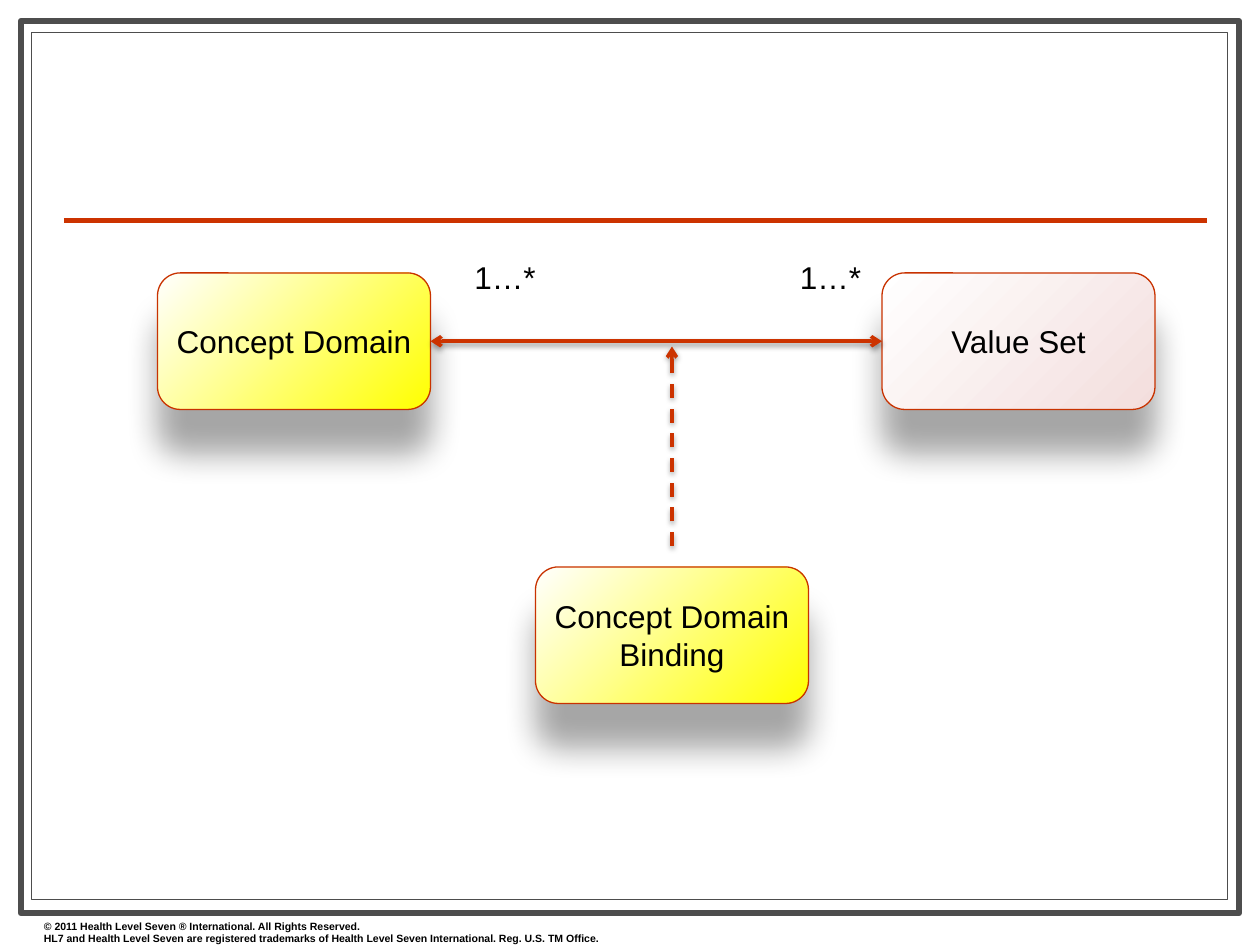
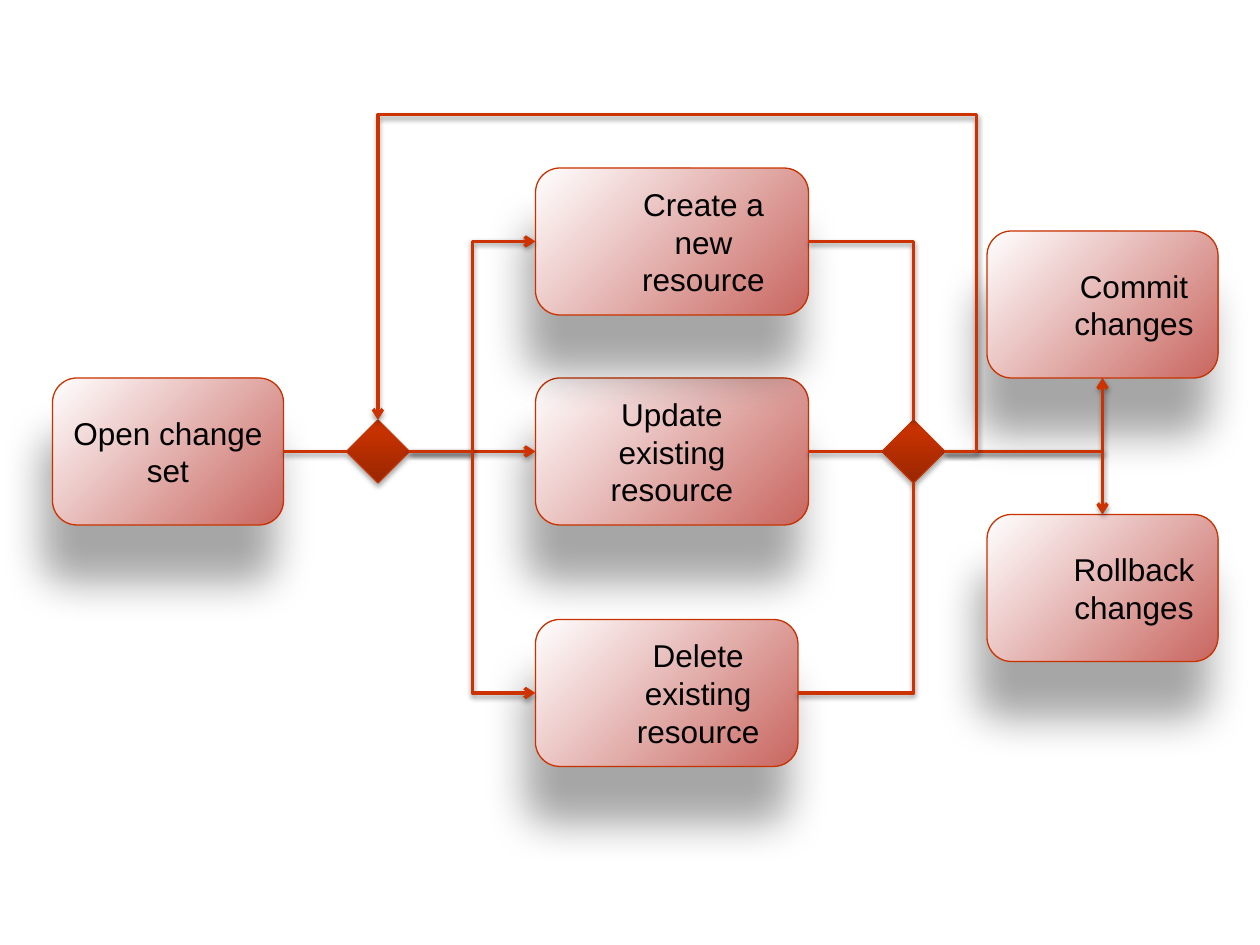
from pptx import Presentation
from pptx.dml.color import RGBColor
from pptx.enum.dml import MSO_LINE
from pptx.enum.shapes import MSO_CONNECTOR, MSO_SHAPE
from pptx.enum.text import MSO_ANCHOR, PP_ALIGN
from pptx.oxml import parse_xml
from pptx.oxml.ns import nsdecls, qn
from pptx.util import Pt

COLORS = {
    "paper": "FFFFFF",
    "frame": "4D4D4D",
    "accent": "CC3300",
    "outline": "C83200",
    "text": "000000",
    "shadow": "000000",
    "yellow": "FFFF00",
    "pink": "F3DEDD",
    "red": "C96660",
    "diamond_dark": "982600",
    "diamond_mid": "C63100",
    "diamond_light": "C73200",
}
FONT = "Arial"
TOP, LEFT, BOTTOM, RIGHT = range(4)

# Opacity %, blur pt, distance pt, direction in degrees
DEEP_SHADOW = (35, 18.5, 25, 90)
DEEPER_SHADOW = (35, 24, 33, 100)
DIAMOND_SHADOW = (35, 3.1, 1.8, 90)
LINE_SHADOW = (38, 3.1, 1.6, 90)

CORNER_GLOW = '<a:path path="circle"><a:fillToRect l="100000" t="100000"/></a:path>'
UPWARD = '<a:lin ang="16200000" scaled="0"/>'

COPYRIGHT = (
    "© 2011 Health Level Seven ® International. All Rights Reserved.",
    "HL7 and Health Level Seven are registered trademarks of Health Level Seven "
    "International. Reg. U.S. TM Office.",
)


def rgb(name):
    return RGBColor.from_string(COLORS[name])


def add_effects(properties, shadow):
    opacity, blur, distance, direction = shadow
    for effects in properties.findall(qn("a:effectLst")):
        properties.remove(effects)
    properties.append(parse_xml(
        f'<a:effectLst {nsdecls("a")}><a:outerShdw blurRad="{Pt(blur)}" dist="{Pt(distance)}" '
        f'dir="{direction * 60000}" algn="ctr" rotWithShape="0">'
        f'<a:srgbClr val="{COLORS["shadow"]}"><a:alpha val="{opacity * 1000}"/></a:srgbClr>'
        f'</a:outerShdw></a:effectLst>'))


def add_gradient(properties, stops, direction):
    stop_xml = "".join(
        f'<a:gs pos="{percent * 1000}"><a:srgbClr val="{COLORS[name]}"/></a:gs>'
        for percent, name in stops)
    properties.find(qn("a:ln")).addprevious(parse_xml(
        f'<a:gradFill {nsdecls("a")} rotWithShape="1"><a:gsLst>{stop_xml}</a:gsLst>'
        f'{direction}</a:gradFill>'))


def write(frame, lines, size, bold=False, align=PP_ALIGN.LEFT, indent=0):
    for number, line in enumerate(lines):
        para = frame.paragraphs[0] if number == 0 else frame.add_paragraph()
        para.text = line
        para.alignment = align
        if indent:
            para.level = 1
            para._p.get_or_add_pPr().set("marL", str(Pt(indent)))
        para.font.name = FONT
        para.font.size = Pt(size)
        para.font.bold = bold
        para.font.color.rgb = rgb("text")


def add_shaded_shape(page, kind, box, stops, direction, shadow):
    shape = page.shapes.add_shape(kind, *map(Pt, box))
    shape.shadow.inherit = False
    shape.line.color.rgb = rgb("outline")
    shape.line.width = Pt(0.75)
    add_gradient(shape._element.spPr, stops, direction)
    add_effects(shape._element.spPr, shadow)
    return shape


def add_node(page, box, lines, color, shadow, indent=0):
    node = add_shaded_shape(page, MSO_SHAPE.ROUNDED_RECTANGLE, box,
                            [(0, color), (100, "paper")], CORNER_GLOW, shadow)
    node.text_frame.word_wrap = True
    node.text_frame.vertical_anchor = MSO_ANCHOR.MIDDLE
    write(node.text_frame, lines, 18, align=PP_ALIGN.CENTER, indent=indent)
    return node


def add_decision(page, box):
    stops = [(0, "diamond_dark"), (80, "diamond_mid"), (100, "diamond_light")]
    return add_shaded_shape(page, MSO_SHAPE.DIAMOND, box, stops, UPWARD, DIAMOND_SHADOW)


def add_line(page, start=(0, 0), end=(0, 0), width=2, heads=(), dashed=False,
             kind=MSO_CONNECTOR.STRAIGHT, shadow=LINE_SHADOW):
    """heads lists the arrow ends to draw: "headEnd" at the start, "tailEnd" at the end."""
    line = page.shapes.add_connector(kind, *map(Pt, start + end))
    line.line.color.rgb = rgb("accent")
    line.line.width = Pt(width)
    if dashed:
        line.line.dash_style = MSO_LINE.DASH
    properties = line._element.spPr
    for head in heads:
        properties.find(qn("a:ln")).append(
            parse_xml(f'<a:{head} {nsdecls("a")} type="arrow"/>'))
    if shadow:
        add_effects(properties, shadow)
    else:
        properties.append(parse_xml(f'<a:effectLst {nsdecls("a")}/>'))
    return line


def join(page, source, source_side, target, target_side, heads=(), preset=None, adjust=()):
    """Join two shapes, straight or along the bent connector preset."""
    kind = MSO_CONNECTOR.ELBOW if preset else MSO_CONNECTOR.STRAIGHT
    line = add_line(page, heads=heads, kind=kind)
    line.begin_connect(source, source_side)
    line.end_connect(target, target_side)
    if preset:
        geometry = line._element.spPr.find(qn("a:prstGeom"))
        geometry.set("prst", preset)
        guides = "".join(f'<a:gd name="adj{number}" fmla="val {round(value * 100000)}"/>'
                         for number, value in enumerate(adjust, 1))
        for values in geometry.findall(qn("a:avLst")):
            geometry.remove(values)
        geometry.append(parse_xml(f'<a:avLst {nsdecls("a")}>{guides}</a:avLst>'))
    return line


def add_text(page, box, lines, size, bold=False, wrap=True):
    label = page.shapes.add_textbox(*map(Pt, box))
    label.text_frame.word_wrap = wrap
    write(label.text_frame, lines, size, bold)


def draw_page_frame(page, box):
    left, top, width, height = box
    inner = (left + 6, top + 6.5, width - 12.7, height - 14.6)
    for outline, weight in ((box, 3.5), (inner, 0.75)):
        border = page.shapes.add_shape(MSO_SHAPE.RECTANGLE, *map(Pt, outline))
        border.shadow.inherit = False
        border.fill.solid()
        border.fill.fore_color.rgb = rgb("paper")
        border.line.color.rgb = rgb("frame")
        border.line.width = Pt(weight)
    add_line(page, (left + 24.5, top + 114), (left + width - 18, top + 114), 3, shadow=None)
    add_text(page, (left + 6, top + height, 348, 21.6), COPYRIGHT, 6, bold=True)


def draw_binding_diagram(page, box):
    left, top, width, height = box
    node_width, node_height = 156, 78
    far_left = left + width - node_width
    binding_left = left + 216
    binding_middle = binding_left + node_width / 2

    def node(x, y, lines, color):
        return add_node(page, (x, y, node_width, node_height), lines, color, DEEP_SHADOW)

    domain = node(left, top, ["Concept Domain"], "yellow")
    node(binding_left, top + height - node_height, ["Concept Domain", "Binding"], "yellow")
    value_set = node(far_left, top, ["Value Set"], "pink")

    join(page, domain, RIGHT, value_set, LEFT, heads=("headEnd", "tailEnd"))
    add_line(page, (binding_middle, top + 156), (binding_middle, top + 42),
             heads=("tailEnd",), dashed=True)
    for label_left in (left + 174, far_left - 54):
        add_text(page, (label_left, top - 12, 49.7, 29), ["1…*"], 18, wrap=False)


def draw_change_set_flow(page, box):
    left, top, width, height = box
    side_width, node_height, diamond = 132, 84, 36
    action_left = left + 276
    outcome_left = left + width - side_width
    row = top + 120
    diamond_top = row + (node_height - diamond) / 2

    def node(x, y, node_width, lines, indent=36):
        return add_node(page, (x, y, node_width, node_height), lines, "red",
                        DEEPER_SHADOW, indent)

    opening = node(left, row, side_width, ["Open change set"], 0)
    update = node(action_left, row, 156, ["Update", "existing resource"], 0)
    create = node(action_left, top, 156, ["Create a new resource"])
    delete = node(action_left, top + height - node_height, 150, ["Delete existing resource"])
    commit = node(outcome_left, top + 36, side_width, ["Commit changes"])
    rollback = node(outcome_left, top + 198, side_width, ["Rollback changes"])
    split = add_decision(page, (left + 168, diamond_top, diamond, diamond))
    merge = add_decision(page, (left + 474, diamond_top, diamond, diamond))

    arrow = ("tailEnd",)
    join(page, opening, RIGHT, split, LEFT)
    join(page, split, RIGHT, update, LEFT, arrow)
    for action in (create, delete):
        join(page, split, RIGHT, action, LEFT, arrow, "bentConnector3", (0.5,))
    join(page, update, RIGHT, merge, LEFT)
    join(page, create, RIGHT, merge, TOP, preset="bentConnector2")
    join(page, delete, RIGHT, merge, BOTTOM, preset="bentConnector2")
    join(page, merge, RIGHT, commit, BOTTOM, arrow, "bentConnector2")
    join(page, merge, RIGHT, rollback, TOP, arrow, "bentConnector2")

    # The way back leaves 18 pt right of the merge and runs 30.5 pt above the actions
    span = left + 168 + diamond / 2 - (left + 474 + diamond)
    rise = -diamond / 2
    lane = top - 30.5 - (diamond_top + diamond / 2)
    join(page, merge, RIGHT, split, TOP, arrow, "bentConnector4", (18 / span, lane / rise))


def main():
    deck = Presentation()
    deck.slide_width, deck.slide_height = Pt(720), Pt(540)
    blank = deck.slide_layouts[6]

    binding_page = deck.slides.add_slide(blank)
    draw_page_frame(binding_page, (12, 12, 696, 510))
    draw_binding_diagram(binding_page, (90, 156, 570, 246))

    flow_page = deck.slides.add_slide(blank)
    draw_change_set_flow(flow_page, (30, 96, 666, 342))

    deck.save("out.pptx")


if __name__ == "__main__":
    main()
